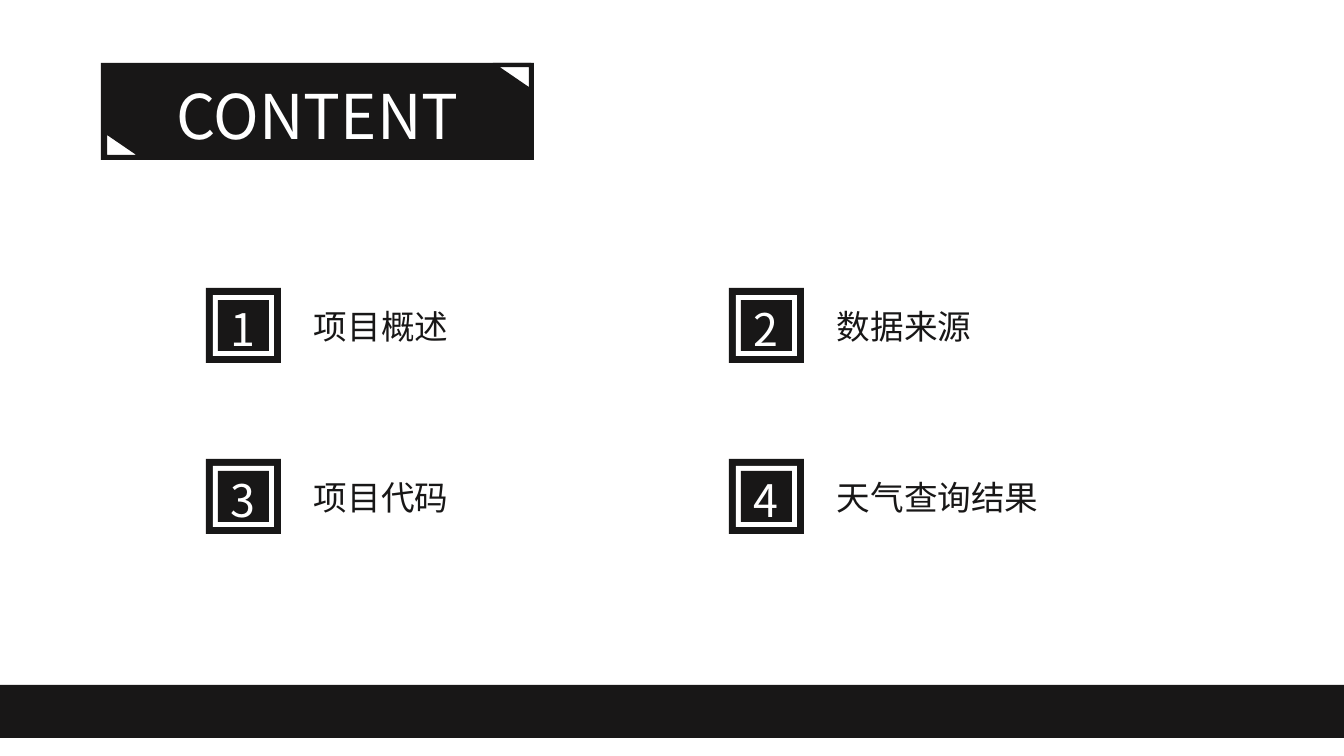
from dataclasses import dataclass

from lxml import etree
from pptx import Presentation
from pptx.dml.color import RGBColor
from pptx.enum.shapes import MSO_SHAPE
from pptx.enum.text import MSO_AUTO_SIZE, PP_ALIGN
from pptx.oxml.ns import qn
from pptx.util import Pt

RECTANGLE = MSO_SHAPE.RECTANGLE
TRIANGLE = MSO_SHAPE.ISOSCELES_TRIANGLE
GROW = MSO_AUTO_SIZE.SHAPE_TO_FIT_TEXT
LEFT = PP_ALIGN.LEFT
CENTER = PP_ALIGN.CENTER

EMU_PER_PX = 914400 / 100.8


@dataclass(frozen=True)
class Theme:
    dark: RGBColor = RGBColor(0x18, 0x17, 0x17)
    light: RGBColor = RGBColor(0xFF, 0xFF, 0xFF)
    font: str = "Noto Sans CJK SC"
    title_size: int = 44
    number_size: int = 32
    label_size: int = 24
    outline: int = 3


THEME = Theme()

ENTRIES = ["项目概述", "数据来源", "项目代码", "天气查询结果"]
COLUMNS = 2
GRID_LEFT, GRID_TOP = 206, 288
COLUMN_STEP, ROW_STEP = 523, 171
BADGE_LAYERS = [
    (0, 75, THEME.dark),
    (7, 61, THEME.light),
    (12, 51, THEME.dark),
]
LABEL_GLYPH, LABEL_PADDING = 34, 20


def px(value):
    return round(value * EMU_PER_PX)


def add_block(shapes, left, top, width, height, color, kind=RECTANGLE):
    shape = shapes.add_shape(kind, px(left), px(top), px(width), px(height))
    shape.shadow.inherit = False
    shape.fill.solid()
    shape.fill.fore_color.rgb = color
    shape.line.fill.background()
    return shape


def add_corner(shapes, left, top, rotation):
    corner = add_block(shapes, left, top, 38, 26, THEME.light, TRIANGLE)
    corner.adjustments[0] = 0
    corner.rotation = rotation
    corner.line.color.rgb = THEME.dark
    corner.line.width = Pt(THEME.outline)


def add_text(shapes, box, text, size, color, alignment=CENTER, wrap=True):
    text_frame = shapes.add_textbox(*map(px, box)).text_frame
    text_frame.word_wrap = wrap
    text_frame.auto_size = GROW
    text_frame.text = text
    paragraph = text_frame.paragraphs[0]
    paragraph.alignment = alignment
    run = paragraph.runs[0]
    run.font.size = Pt(size)
    run.font.color.rgb = color
    run.font.name = THEME.font
    east_asian = etree.SubElement(run.font._element, qn("a:ea"))
    east_asian.set("typeface", THEME.font)


def add_banner(slide):
    banner = slide.shapes.add_group_shape().shapes
    add_block(banner, 101, 63, 433, 97, THEME.dark)
    add_corner(banner, 105, 131, 0)
    add_corner(banner, 493, 65, 180)
    add_text(slide.shapes, (131, 73, 373, 85), "CONTENT",
             THEME.title_size, THEME.light)


def add_badge(slide, left, top, number):
    badge = slide.shapes.add_group_shape().shapes
    for inset, side, color in BADGE_LAYERS:
        add_block(badge, left + inset, top + inset, side, side, color)
    add_text(badge, (left + 8, top + 9, 58, 65), str(number),
             THEME.number_size, THEME.light)


def add_entry(slide, index, label):
    row, column = divmod(index, COLUMNS)
    left = GRID_LEFT + column * COLUMN_STEP
    top = GRID_TOP + row * ROW_STEP
    add_badge(slide, left, top, index + 1)
    width = LABEL_PADDING + LABEL_GLYPH * len(label)
    add_text(slide.shapes, (left + 98, top + 13, width, 50), label,
             THEME.label_size, THEME.dark, LEFT, wrap=False)


def main():
    presentation = Presentation()
    presentation.slide_width = px(1344)
    presentation.slide_height = px(756)
    slide = presentation.slides.add_slide(presentation.slide_layouts[6])
    slide.background.fill.solid()
    slide.background.fill.fore_color.rgb = THEME.light

    add_banner(slide)
    for index, label in enumerate(ENTRIES):
        add_entry(slide, index, label)
    add_block(slide.shapes, 0, 685, 1344, 53, THEME.dark)

    presentation.save("out.pptx")


if __name__ == "__main__":
    main()
